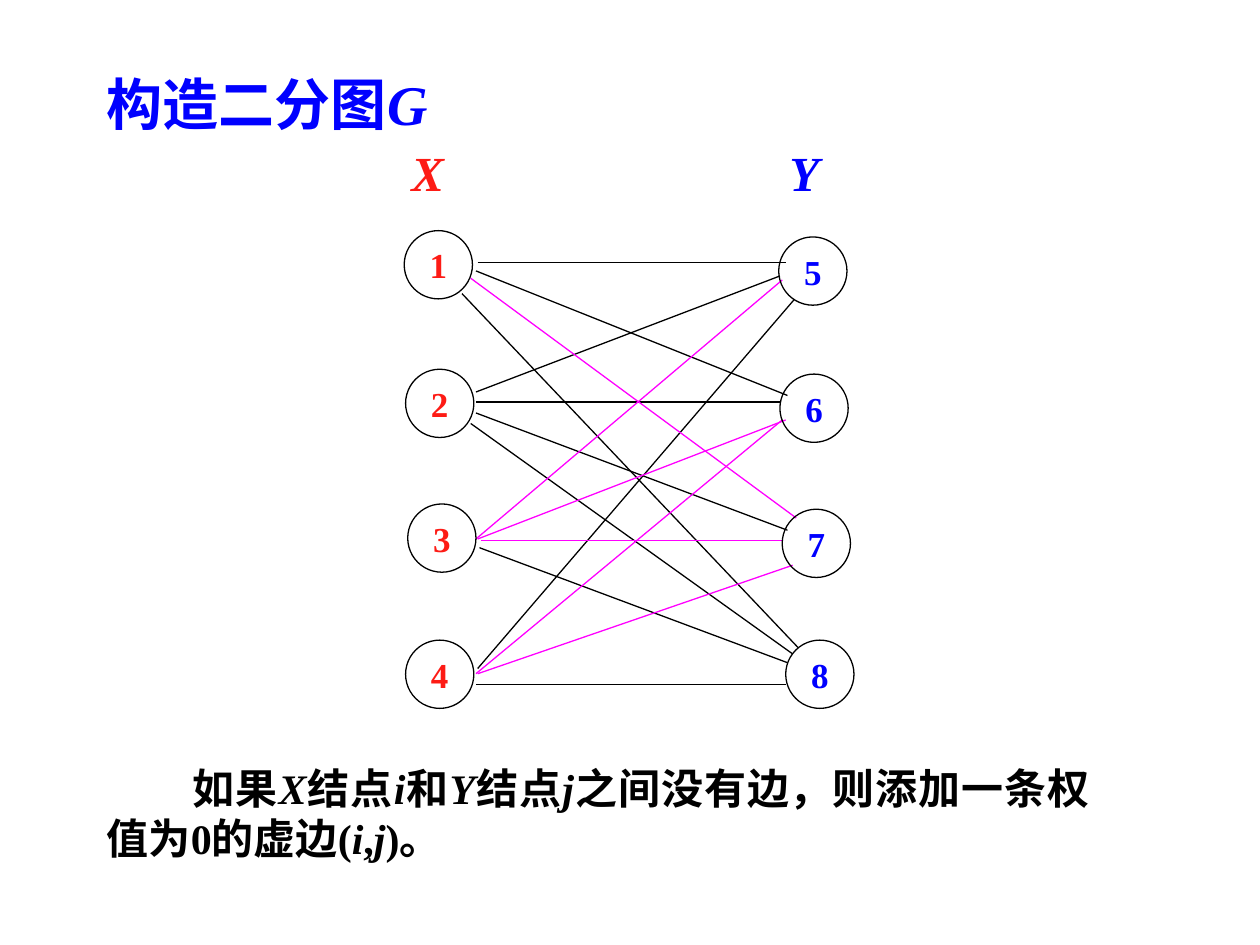
"""Build a slide showing a bipartite graph with real and virtual edges."""
from pptx import Presentation
from pptx import util as u
from pptx.dml.color import RGBColor
from pptx.enum import shapes, text
from pptx.oxml.ns import qn
from lxml import etree

COLORS = {"black": "000000", "red": "FD1B15", "blue": "0000FF", "magenta": "FF00FF"}
FONT = "Times New Roman"
NODE_SIZE = 39

X_NODES = [("1", 231, 131.8), ("2", 231.8, 211), ("3", 233, 288), ("4", 231.8, 365.8)]
Y_NODES = [("5", 445, 135.4), ("6", 445.7, 213.8), ("7", 447, 291), ("8", 449, 365.8)]

REAL_EDGES = [
    (273, 150, 449, 150),
    (272, 154.8, 450, 226),
    (264, 167.8, 456, 370),
    (272, 224, 445.7, 157.7),
    (272, 229.7, 445.7, 229.7),
    (272, 236, 450, 303),
    (269, 242, 453, 373.7),
    (274, 313, 450, 378.7),
    (273, 382, 454, 171),
    (272, 391, 449, 391),
]
VIRTUAL_EDGES = [
    (269, 159, 455, 296),
    (272, 308, 447, 160),
    (273, 308, 449, 240),
    (275, 309, 447, 309),
    (272, 385, 447, 240),
    (273, 385, 453, 323),
]

TITLE = [("构造二分图", False), ("G", True)]
RULE = [
    ("如果", False), ("X", True), ("结点", False), ("i", True), ("和", False),
    ("Y", True), ("结点", False), ("j", True),
    ("之间没有边，则添加一条权值为0的虚边(", False),
    ("i", True), (",", False), ("j", True), (")。", False),
]


def rgb(color):
    """Return the named colour."""
    return RGBColor.from_string(COLORS[color])


def write(p, runs, size, color):
    """Fill a paragraph with bold runs given as (text, italic) pairs."""
    p.font.name, p.font.size, p.font.bold = FONT, u.Pt(size), True
    p.font.color.rgb = rgb(color)
    for words, italic in runs:
        r = p.add_run()
        r.text = words
        r.font.italic = italic


def add_text(s, box, runs, size, color):
    """Add a wrapping text box and return its paragraph."""
    tf = s.shapes.add_textbox(*map(u.Pt, box)).text_frame
    tf.word_wrap = True
    p = tf.paragraphs[0]
    write(p, runs, size, color)
    return p


def add_edge(s, ends, color):
    """Add a thin straight line without shadow."""
    sp = s.shapes.add_connector(shapes.MSO_CONNECTOR.STRAIGHT, *map(u.Pt, ends))
    sp.line.color.rgb = rgb(color)
    sp.line.width = u.Pt(0.75)
    etree.SubElement(sp._element.spPr, qn("a:effectLst"))


def add_node(s, label, left, top, color):
    """Add an unfilled circle with a centred label."""
    sp = s.shapes.add_shape(
        shapes.MSO_SHAPE.OVAL, *map(u.Pt, (left, top, NODE_SIZE, NODE_SIZE)))
    sp.shadow.inherit = False
    sp.fill.background()
    sp.line.color.rgb = rgb("black")
    sp.line.width = u.Pt(0.75)
    tf = sp.text_frame
    tf.margin_left = tf.margin_right = tf.margin_top = tf.margin_bottom = 0
    tf.vertical_anchor = text.MSO_ANCHOR.MIDDLE
    p = tf.paragraphs[0]
    p.alignment = text.PP_ALIGN.CENTER
    write(p, [(label, False)], 20, color)


def main():
    """Build and save the slide."""
    prs = Presentation()
    prs.slide_width, prs.slide_height = u.Pt(720), u.Pt(540)
    s = prs.slides.add_slide(prs.slide_layouts[6])

    p = add_text(s, (54, 432, 576, 65), RULE, 24, "black")
    p.alignment = text.PP_ALIGN.JUSTIFY
    p._p.get_or_add_pPr().set("indent", str(u.Pt(49)))

    for edges, color in ((REAL_EDGES, "black"), (VIRTUAL_EDGES, "magenta")):
        for ends in edges:
            add_edge(s, ends, color)
    for nodes, color in ((X_NODES, "red"), (Y_NODES, "blue")):
        for label, left, top in nodes:
            add_node(s, label, left, top, color)

    add_text(s, (54, 36, 264, 46), TITLE, 32, "blue")
    add_text(s, (228, 78, 54, 41), [("X", True)], 28, "red")
    add_text(s, (444, 78, 54, 41), [("Y", True)], 28, "blue")
    prs.save("out.pptx")


if __name__ == "__main__":
    main()
